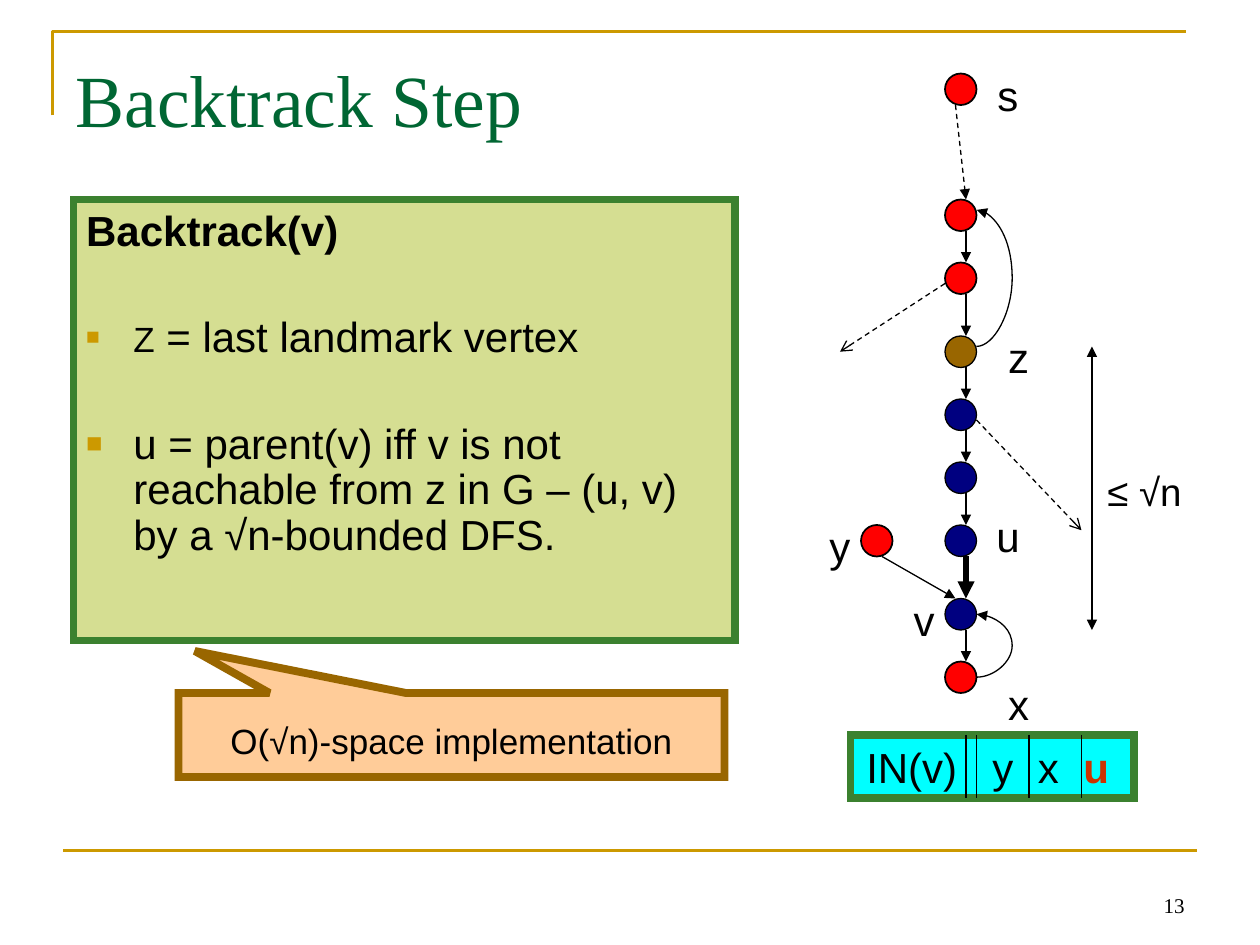
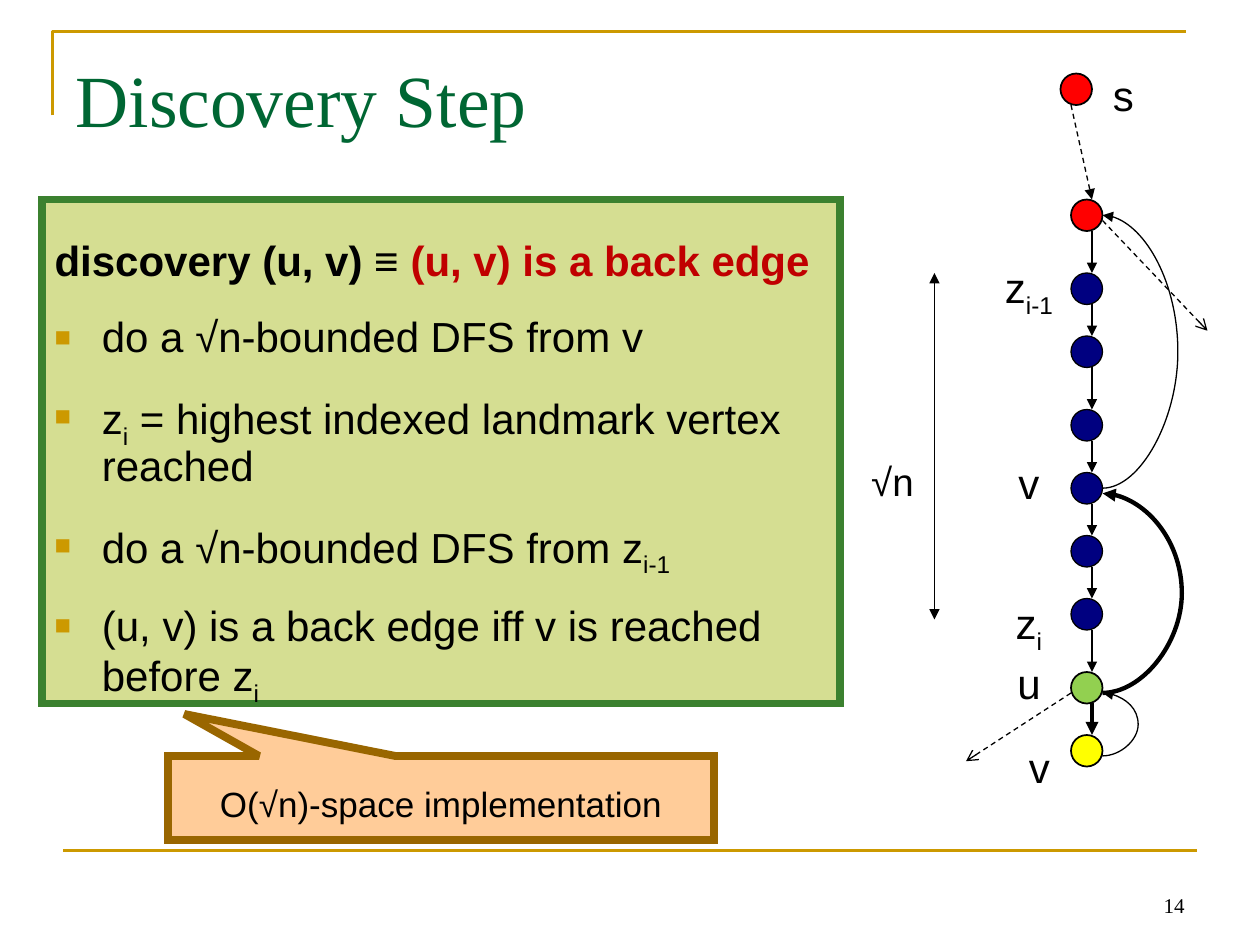
from collections import namedtuple
from itertools import pairwise

from lxml.etree import SubElement
from pptx import Presentation
from pptx.dml.color import RGBColor
from pptx.enum.dml import MSO_LINE_DASH_STYLE as Dash
from pptx.enum.shapes import MSO_CONNECTOR as Link, MSO_SHAPE as Preset
from pptx.enum.text import MSO_ANCHOR as Anchor, MSO_AUTO_SIZE as Fit, PP_ALIGN as Align
from pptx.oxml.ns import qn
from pptx.util import Pt

COLOURS = {
    "gold": "CC9900", "title": "006633", "black": "000000", "panel": "D5DE92",
    "border": "3B812F", "note": "FFCC99", "brown": "996600", "red": "FF0000",
    "navy": "000080", "lime": "92D050", "yellow": "FFFF00", "cyan": "00FFFF",
    "rust": "CC3300", "crimson": "C00000",
}
SANS, SERIF = "Arial", "Times New Roman"
NODE = 18      # node diameter
STEM = 12      # offset of the downward edges from a node's left side
SLIVER = 0.1   # width of a curved connector, scaled up by its adjustment
HANG = 27
Box = namedtuple("Box", "left top width height")
Curve = namedtuple("Curve", "start end bulge weight", defaults=[0.75])
Label = namedtuple("Label", "centre top spans size", defaults=[24])
SUB = {"sub": True}


def rgb(name):
    return RGBColor.from_string(COLOURS[name])


def points(box):
    return [Pt(value) for value in box]


def place(shape, box):
    shape.left, shape.top, shape.width, shape.height = points(box)


def add_spans(para, spans, size, font=SANS, colour="black", bold=False):
    """Add runs; a span is a string or a (string, style changes) pair."""
    for span in spans:
        text, style = (span, {}) if isinstance(span, str) else span
        run = para.add_run()
        run.text = text
        run.font.name = font
        run.font.size = Pt(style.get("size", size))
        run.font.bold = style.get("bold", bold)
        run.font.color.rgb = rgb(style.get("colour", colour))
        if style.get("sub"):
            run.font._element.set("baseline", "-25000")


def paint(shape, fill, line, weight):
    shape.fill.solid()
    shape.fill.fore_color.rgb = rgb(fill)
    shape.line.color.rgb = rgb(line)
    shape.line.width = Pt(weight)
    SubElement(shape.element.spPr.find(qn("a:ln")), qn("a:miter"), lim="800000")


def add_preset(page, preset, box, fill, line, weight):
    shape = page.shapes.add_shape(preset, *points(box))
    shape.shadow.inherit = False
    paint(shape, fill, line, weight)
    return shape


def add_line(page, start, end, weight=0.75, colour="black", head=None, tail=None,
             dashed=False, kind=Link.STRAIGHT):
    line = page.shapes.add_connector(kind, *points(start + end))
    line.line.color.rgb = rgb(colour)
    line.line.width = Pt(weight)
    if dashed:
        line.line.dash_style = Dash.DASH
    properties = line.element.spPr
    outline = properties.find(qn("a:ln"))
    for tag, arrow in (("a:headEnd", head), ("a:tailEnd", tail)):
        if arrow:
            SubElement(outline, qn(tag), type=arrow)
    SubElement(properties, qn("a:effectLst"))
    return line


def add_curve(page, x, start, end, bulge, weight):
    """Draw an arrow that bows to the right of x, from height start up to end."""
    curve = add_line(page, (x, start), (x + SLIVER, end), weight,
                     tail="triangle", kind=Link.CURVE)
    guides = curve.element.spPr.find(qn("a:prstGeom")).find(qn("a:avLst"))
    SubElement(guides, qn("a:gd"), name="adj1", fmla=f"val {round(bulge / SLIVER * 100000)}")


def add_label(page, centre, top, spans, size):
    label = page.shapes.add_textbox(*points(Box(centre - 36, top, 72, 33)))
    frame = label.text_frame
    frame.word_wrap = True
    frame.margin_left = frame.margin_right = 0
    frame.paragraphs[0].alignment = Align.CENTER
    add_spans(frame.paragraphs[0], spans, size)


def add_frame(page, box):
    """Draw the gold corner and the rule, then hand them to the page's layout."""
    builder = page.shapes.build_freeform(Pt(box.left), Pt(box.top + 48))
    builder.add_line_segments([(Pt(box.left), Pt(box.top)),
                               (Pt(box.left + box.width), Pt(box.top))], close=False)
    corner = builder.convert_to_shape()
    corner.shadow.inherit = False
    corner.fill.background()
    corner.line.color.rgb = rgb("gold")
    corner.line.width = Pt(1.5)
    bottom = box.top + box.height
    rule = add_line(page, (box.left + 6, bottom), (box.left + box.width + 6, bottom),
                    1.5, "gold")
    for part in (corner, rule):
        page.slide_layout.shapes.element.append(part.element)


def add_title(page, box, text):
    title = page.shapes.title
    place(title, box)
    frame = title.text_frame
    frame.auto_size = Fit.NONE
    frame.vertical_anchor = Anchor.TOP
    frame.paragraphs[0].alignment = Align.LEFT
    add_spans(frame.paragraphs[0], [text], 42, SERIF, "title")


def add_number(page, box, number):
    frame = page.shapes.add_textbox(*points(box)).text_frame
    frame.word_wrap = True
    frame.vertical_anchor = Anchor.BOTTOM
    frame.paragraphs[0].alignment = Align.RIGHT
    add_spans(frame.paragraphs[0], [str(number)], 12, SERIF)


def add_steps(page, box, heading, steps, inset, gap):
    """Fill the body with a bold heading and bulleted steps, gap points apart."""
    body = page.placeholders[1]
    place(body, box)
    paint(body, "panel", "border", 4.5)
    frame = body.text_frame
    frame.auto_size = Fit.NONE
    frame.vertical_anchor = Anchor.TOP
    frame.margin_top = Pt(inset)
    for index, spans in enumerate([heading] + steps):
        para = frame.add_paragraph() if index else frame.paragraphs[0]
        para.line_spacing = 0.9
        para.space_before = Pt(gap if index else 0)
        add_spans(para, spans, 24, bold=index == 0)
        layout = para._p.get_or_add_pPr()
        layout.set("marL", str(Pt(HANG)))
        layout.set("indent", str(-Pt(HANG)))
        if index == 0:
            SubElement(layout, qn("a:buNone"))
            continue
        SubElement(SubElement(layout, qn("a:buClr")), qn("a:srgbClr"), val=COLOURS["gold"])
        SubElement(layout, qn("a:buSzPct"), val="65000")
        SubElement(layout, qn("a:buFont"), typeface=SANS)
        SubElement(layout, qn("a:buChar"), char="■")


def add_callout(page, box):
    note = add_preset(page, Preset.RECTANGULAR_CALLOUT, box, "note", "brown", 4.5)
    note.adjustments[0], note.adjustments[1] = -0.47, -1
    frame = note.text_frame
    frame.margin_top = Pt(10)
    frame.vertical_anchor = Anchor.MIDDLE
    frame.paragraphs[0].alignment = Align.CENTER
    add_spans(frame.paragraphs[0], ["O(√n)-space implementation"], 20)


def add_node(page, left, top, colour):
    weight = 0.75 if colour in ("navy", "brown") else 1
    add_preset(page, Preset.OVAL, Box(left, top, NODE, NODE), colour, "black", weight)


def add_path(page, box, nodes, source_shift, heavy, curves, labels, exits, extent):
    """Draw the search path downward from the source s.

    Nodes are (top, colour); heavy is (edge index, weight); exits are dashed
    arrows and extent a two-headed one, as (start, end). All lie relative to box.
    """
    def at(x, y):
        return box.left + x, box.top + y

    for index, ((upper, _), (lower, _)) in enumerate(pairwise(nodes)):
        first = index == 0
        start_x = source_shift + NODE / 3 if first else STEM
        add_line(page, at(start_x, upper + NODE), at(STEM, lower),
                 heavy[1] if index == heavy[0] else 0.75, tail="triangle", dashed=first)
    for index, (top, colour) in enumerate(nodes):
        add_node(page, *at(0 if index else source_shift, top), colour)
    for curve in curves:
        add_curve(page, box.left + NODE, box.top + curve.start, box.top + curve.end,
                  curve.bulge, curve.weight)
    for start, end in exits:
        add_line(page, at(*start), at(*end), tail="arrow", dashed=True)
    add_line(page, at(*extent[0]), at(*extent[1]), head="triangle", tail="triangle")
    for label in labels:
        add_label(page, *at(label.centre, label.top), label.spans, label.size)


def add_side_vertex(page, box):
    """Draw vertex y in box, with its edge into v below on the right."""
    add_node(page, box.left, box.top, "red")
    add_line(page, (box.left + STEM, box.top + NODE),
             (box.left + 54, box.top + 42), tail="triangle")


def add_in_list(page, box):
    holder = add_preset(page, Preset.RECTANGLE, box, "cyan", "border", 4.5)
    frame = holder.text_frame
    frame.vertical_anchor = Anchor.TOP
    frame.margin_left = Pt(9)
    para = frame.paragraphs[0]
    para.alignment = Align.LEFT
    add_spans(para, ["IN(v)\ty\tx\t", ("u", {"bold": True, "colour": "rust"})], 24)
    stops = SubElement(para._p.get_or_add_pPr(), qn("a:tabLst"))
    for position in (72, 98, 124):
        SubElement(stops, qn("a:tab"), pos=str(Pt(position)), algn="l")
    for offset in (66, 72, 102, 132):
        x = box.left + offset
        add_line(page, (x, box.top), (x, box.top + box.height))


def start_page(deck, title, number):
    page = deck.slides.add_slide(deck.slide_layouts[1])
    add_title(page, Box(36, 27, 648, 84), title)
    add_number(page, Box(516, 492, 168, 36), number)
    return page


def add_backtrack_page(deck):
    page = start_page(deck, "Backtrack Step", 13)
    add_frame(page, Box(30, 18, 648, 468))
    add_steps(page, Box(42, 114, 378, 252), ["Backtrack(v)"], [
        [("Z", {"size": 20}), " = last landmark vertex"],
        ["u = parent(v) iff v is not reachable from z in G – (u, v) by a √n-bounded DFS."],
    ], inset=6, gap=35)
    tops = (0, 72, 108, 150, 186, 222, 258, 300, 336)
    colours = ["red"] * 3 + ["brown"] + ["navy"] * 4 + ["red"]
    add_path(
        page, Box(540, 42, 18, 354), list(zip(tops, colours)), 0, (6, 3.25),
        curves=[Curve(156, 78, 18), Curve(345, 309, 18)],
        labels=[Label(36, -6, "s"), Label(42, 144, "z"), Label(36, 246, "u"),
                Label(-60, 252, "y"), Label(-12, 294, "v"), Label(42, 342, "x"),
                Label(114, 222, ["≤ √n"], 22)],
        exits=[((18, 198), (78, 261)), ((0, 120), (-60, 159))],
        extent=((84, 156), (84, 318)))
    add_side_vertex(page, Box(492, 300, NODE, NODE))
    add_in_list(page, Box(486, 420, 162, 36))
    add_callout(page, Box(102, 396, 312, 48))


def add_discovery_page(deck):
    page = start_page(deck, "Discovery Step", 14)
    add_steps(page, Box(24, 114, 456, 288), [
        "discovery (u, v) ≡ ", ("(u, v) is a back edge", {"colour": "crimson"}),
    ], [
        ["do a √n-bounded DFS from v"],
        ["z", ("i", SUB), " = highest indexed landmark vertex reached"],
        ["do a √n-bounded DFS from z", ("i-1", SUB)],
        ["(u, v) is a back edge iff v is reached before z", ("i", SUB)],
    ], inset=23, gap=18)
    tops = (0, 72, 114, 150, 192, 228, 264, 300, 342, 378)
    colours = ["red"] * 2 + ["navy"] * 6 + ["lime", "yellow"]
    add_path(
        page, Box(612, 42, 18, 396), list(zip(tops, colours)), -6, (8, 2.5),
        curves=[Curve(237, 81, 38), Curve(354, 240, 40, 2.5), Curve(390, 354, 18)],
        labels=[Label(30, -6, "s"), Label(-24, 104, ["z", ("i-1", SUB)]),
                Label(-24, 216, "v"), Label(-24, 296, ["z", ("i", SUB)]),
                Label(-24, 330, "u"), Label(-18, 378, "v"),
                Label(-102, 216, ["√n"], 22)],
        exits=[((18, 84), (78, 147)), ((0, 354), (-60, 393))],
        extent=((-78, 114), (-78, 312)))
    add_callout(page, Box(96, 432, 312, 48))


def main():
    deck = Presentation()
    deck.slide_width, deck.slide_height = Pt(720), Pt(540)
    add_backtrack_page(deck)
    add_discovery_page(deck)
    deck.save("out.pptx")


if __name__ == "__main__":
    main()
